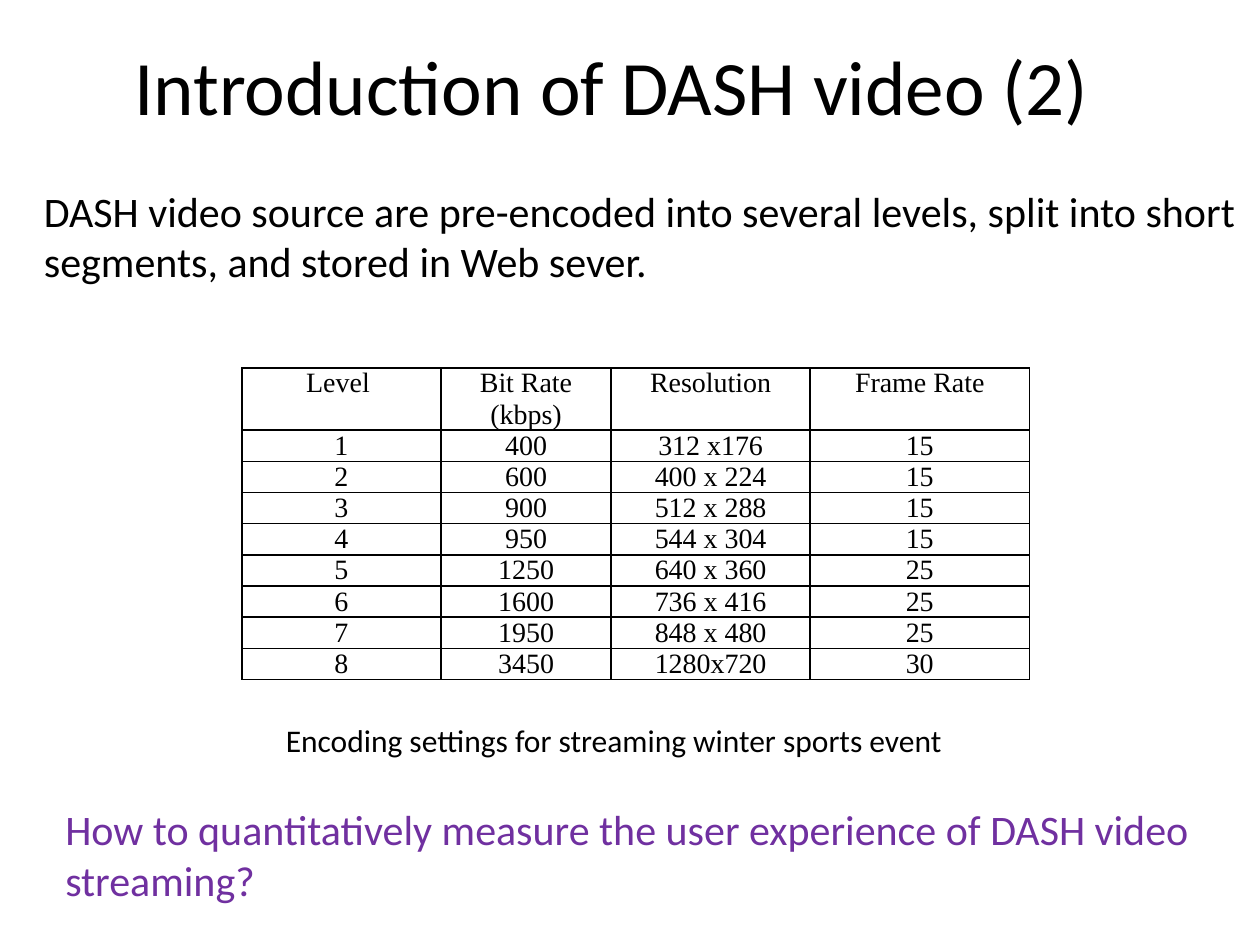
"""Build the DASH video slide with its table of encoding settings."""
from lxml import etree
from pptx import Presentation
from pptx.dml.color import RGBColor
from pptx.enum.text import MSO_ANCHOR, PP_ALIGN
from pptx.oxml.ns import qn
from pptx.util import Inches, Pt

LEFT, CENTER = PP_ALIGN.LEFT, PP_ALIGN.CENTER
TOP, MIDDLE = MSO_ANCHOR.TOP, MSO_ANCHOR.MIDDLE
BLACK, PURPLE = "000000", "7030A0"

TEXTS = [
    ("Introduction of DASH video (2) ", (0.32, 0.12, 9.21, 1.1), 44, BLACK, CENTER, MIDDLE),
    ("Encoding settings for streaming winter sports event",
     (2.17, 5.67, 7.67, 0.4), 18, BLACK, LEFT, TOP),
    ("DASH video source are pre-encoded into several levels, split into short "
     "segments, and stored in Web sever.", (0.25, 1.42, 9.75, 0.91), 24, BLACK, LEFT, TOP),
    ("How to quantitatively measure the user experience of DASH video streaming?",
     (0.42, 6.33, 9.17, 0.91), 24, PURPLE, LEFT, TOP),
]
ROWS = [
    ("Level ", "Bit Rate (kbps)", "Resolution", "Frame Rate"),
    ("1", "400", "312 x176", "15"),
    ("2", "600", "400 x 224", "15"),
    ("3", "900", "512 x 288", "15"),
    ("4", "950", "544 x 304", "15"),
    ("5", "1250", "640 x 360", "25"),
    ("6", "1600", "736 x 416", "25"),
    ("7", "1950", "848 x 480", "25"),
    ("8", "3450", "1280x720", "30"),
]
COL_WIDTHS = (1.58, 1.35, 1.58, 1.74)
HEADER_HEIGHT, ROW_HEIGHT = 0.43, 0.22
TABLE_LEFT, TABLE_TOP = 1.92, 2.92
CELL_FORMAT = {"margin_left": Inches(0.07), "margin_right": Inches(0.07),
               "margin_top": 0, "margin_bottom": 0}


def rgb(value):
    return RGBColor.from_string(value)


def write(p, text, size, font, color, align):
    p.alignment = align
    r = p.add_run()
    r.text = text
    for name, value in {"size": Pt(size), "name": font, "bold": False}.items():
        setattr(r.font, name, value)
    r.font.color.rgb = rgb(color)


def add_text(slide, text, box, size, color, align, anchor):
    tf = slide.shapes.add_textbox(*map(Inches, box)).text_frame
    tf.word_wrap = True
    tf.vertical_anchor = anchor
    write(tf.paragraphs[0], text, size, "Calibri", color, align)


def add_borders(cell):
    tc_pr = cell._tc.get_or_add_tcPr()
    for i, side in enumerate(("lnL", "lnR", "lnT", "lnB")):
        ln = etree.Element(qn(f"a:{side}"), w=str(Pt(1)))
        fill = etree.SubElement(ln, qn("a:solidFill"))
        etree.SubElement(fill, qn("a:srgbClr"), val=BLACK)
        tc_pr.insert(i, ln)


def add_settings_table(slide):
    heights = [HEADER_HEIGHT] + [ROW_HEIGHT] * (len(ROWS) - 1)
    box = (TABLE_LEFT, TABLE_TOP, sum(COL_WIDTHS), sum(heights))
    table = slide.shapes.add_table(len(ROWS), len(COL_WIDTHS), *map(Inches, box)).table
    table.first_row = table.horz_banding = False
    for col, width in zip(table.columns, COL_WIDTHS):
        col.width = Inches(width)
    for i, (row, height, values) in enumerate(zip(table.rows, heights, ROWS)):
        row.height = Inches(height)
        for cell, value in zip(row.cells, values):
            for name, setting in CELL_FORMAT.items():
                setattr(cell, name, setting)
            cell.vertical_anchor = MIDDLE if i else TOP
            cell.fill.background()
            add_borders(cell)
            p = cell.text_frame.paragraphs[0]
            p.space_after = Pt(2)
            write(p, value, 16, "Times New Roman", BLACK, CENTER)


def main():
    prs = Presentation()
    prs.slide_width, prs.slide_height = Inches(10), Inches(7.5)
    slide = prs.slides.add_slide(prs.slide_layouts[6])
    add_settings_table(slide)
    for item in TEXTS:
        add_text(slide, *item)
    prs.save("out.pptx")


if __name__ == "__main__":
    main()
